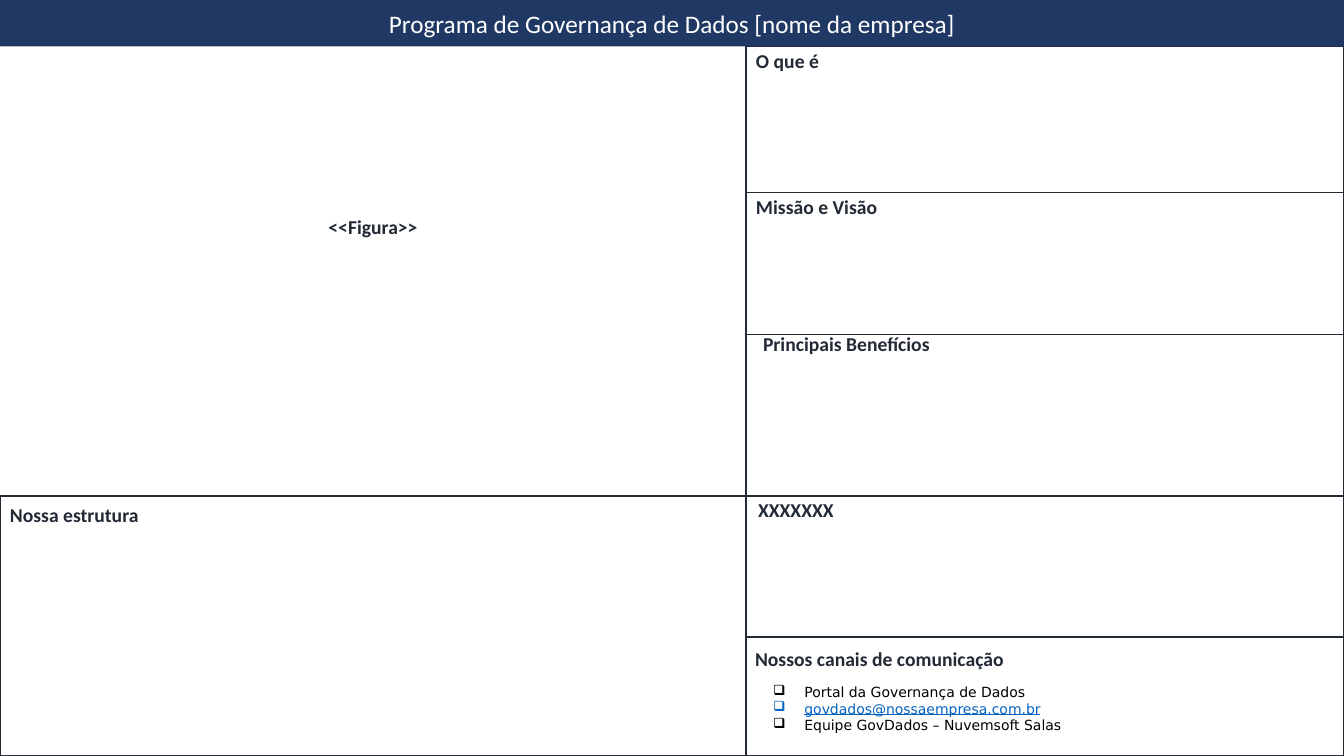
from pptx import Presentation
from pptx.dml.color import RGBColor
from pptx.enum.shapes import MSO_SHAPE as Shape
from pptx.enum.text import MSO_ANCHOR as Anchor, PP_ALIGN as Align
from pptx.oxml.ns import qn
from pptx.util import Inches, Pt
from lxml import etree

NAVY = RGBColor(0x20, 0x38, 0x64)
INK = RGBColor(0x22, 0x2A, 0x35)
WHITE = RGBColor(0xFF, 0xFF, 0xFF)
BLACK = RGBColor(0, 0, 0)
LINK_BLUE = RGBColor(0x05, 0x63, 0xC1)

# Content
TITLE = "Programa de Governança de Dados [nome da empresa]"
HEADINGS = [  # text, left, top, width
    ("O que é", 7.4, 0.44, 0.97),
    ("Missão e Visão", 7.4, 1.88, 1.66),
    ("Principais Benefícios", 7.47, 3.24, 2.34),
    ("XXXXXXX", 7.42, 4.89, 1.12),
    ("Nossos canais de comunicação", 7.39, 6.37, 3.16),
    ("Nossa estrutura", 0, 4.94, 1.8),
    ("<<Figura>>", 3.16, 2.08, 1.26),
]
CHANNELS = [  # text, colour, underlined
    ("Portal da Governança de Dados", BLACK, False),
    ("govdados@nossaempresa.com.br", LINK_BLUE, True),
    ("Equipe GovDados – Nuvemsoft Salas", BLACK, False),
]

# Layout
SLIDE_W, SLIDE_H = 13.33, 7.5
TITLE_H = 0.46
SPLIT_X = 7.4
ROW_EDGES = [TITLE_H, 1.91, 3.32, 4.92, 6.32, SLIDE_H]
STRUCTURE_TOP = ROW_EDGES[3]

prs = Presentation()
prs.slide_width, prs.slide_height = Inches(SLIDE_W), Inches(SLIDE_H)
slide = prs.slides.add_slide(prs.slide_layouts[6])


def add_panel(left, top, width, height, fill=WHITE, line=INK):
    panel = slide.shapes.add_shape(
        Shape.RECTANGLE, *map(Inches, (left, top, width, height)))
    panel.shadow.inherit = False
    panel.fill.solid()
    panel.fill.fore_color.rgb = fill
    if line is None:
        panel.line.fill.background()
    else:
        panel.line.color.rgb = line
        panel.line.width = Pt(1)
    return panel


def add_text(left, top, width, height):
    frame = slide.shapes.add_textbox(
        *map(Inches, (left, top, width, height))).text_frame
    frame.word_wrap = True
    return frame


def style(paragraph, size, color, font="Calibri", bold=False, underline=False):
    run_font = paragraph.runs[0].font
    run_font.name, run_font.size = font, Pt(size)
    run_font.bold, run_font.underline = bold, underline
    run_font.color.rgb = color


def add_bullet(paragraph):
    props = paragraph._p.get_or_add_pPr()
    props.set("marL", str(Inches(0.31)))
    props.set("indent", str(Inches(-0.31)))
    etree.SubElement(props, qn("a:buChar")).set("char", "❑")


# Panels: one row per pair of edges, then the structure panel
for top, bottom in zip(ROW_EDGES, ROW_EDGES[1:]):
    add_panel(SPLIT_X, top, SLIDE_W - SPLIT_X, bottom - top)
add_panel(0, STRUCTURE_TOP, SPLIT_X, SLIDE_H - STRUCTURE_TOP)

# Title bar
title = add_panel(0, 0, SLIDE_W, TITLE_H, NAVY, None).text_frame
title.text = TITLE
title.vertical_anchor = Anchor.MIDDLE
title.paragraphs[0].alignment = Align.CENTER
style(title.paragraphs[0], 18, WHITE)

# Panel headings
for text, left, top, width in HEADINGS:
    heading = add_text(left, top, width, 0.34)
    heading.text = text
    style(heading.paragraphs[0], 14, INK, bold=True)

# Communication channels
channels = add_text(7.57, 6.73, 5.57, 0.77)
channels.text = "\n".join(text for text, _, _ in CHANNELS)
for paragraph, (_, color, underline) in zip(channels.paragraphs, CHANNELS):
    add_bullet(paragraph)
    style(paragraph, 10, color, "DejaVu Sans", underline=underline)

prs.save("out.pptx")
